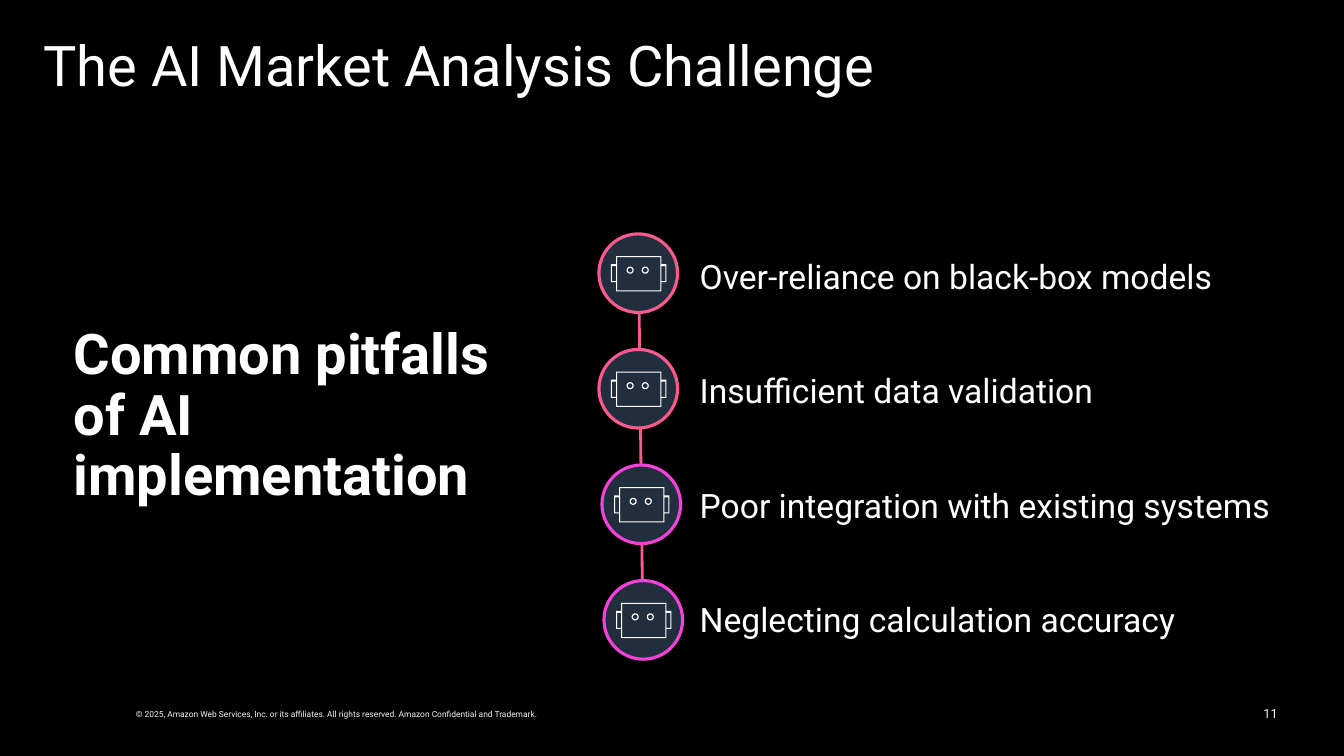
from math import cos, pi, sin

from lxml import etree
from pptx import Presentation
from pptx.dml.color import RGBColor
from pptx.enum.shapes import MSO_CONNECTOR, MSO_SHAPE
from pptx.enum.text import MSO_ANCHOR, MSO_AUTO_SIZE, PP_ALIGN
from pptx.oxml.ns import qn
from pptx.util import Inches, Pt

BLACK = RGBColor(0x00, 0x00, 0x00)
WHITE = RGBColor(0xFF, 0xFF, 0xFF)
PALE = RGBColor(0xF3, 0xF3, 0xF7)
NAVY = RGBColor(0x21, 0x2E, 0x3E)
PINK = RGBColor(0xFE, 0x5A, 0x90)
MAGENTA = RGBColor(0xF7, 0x41, 0xD9)
LEFT, RIGHT = PP_ALIGN.LEFT, PP_ALIGN.RIGHT
TOP, MIDDLE = MSO_ANCHOR.TOP, MSO_ANCHOR.MIDDLE
NO_FIT = MSO_AUTO_SIZE.NONE
FONT = "Roboto"


def fill_text(box, place, lines, size, color, bold=False, align=LEFT, anchor=TOP,
              margins=(0.1, 0.05, 0.1, 0.05), wrap=True, spacing=None, gap=0):
    box.left, box.top, box.width, box.height = map(Inches, place)
    frame = box.text_frame
    left, top, right, bottom = map(Inches, margins)
    frame_format = {"auto_size": NO_FIT, "word_wrap": wrap, "vertical_anchor": anchor,
                    "margin_left": left, "margin_top": top,
                    "margin_right": right, "margin_bottom": bottom}
    for name, value in frame_format.items():
        setattr(frame, name, value)
    font_format = {"name": FONT, "size": Pt(size), "bold": bold}
    for index, line in enumerate(lines):
        para = frame.add_paragraph() if index else frame.paragraphs[0]
        para.alignment = align
        para.line_spacing = spacing
        para.space_before = Pt(gap if index else 0)
        span = para.add_run()
        span.text = line
        span.font.color.rgb = color
        for name, value in font_format.items():
            setattr(span.font, name, value)


def rectangle(left, top, right, bottom):
    return [(left, top), (right, top), (right, bottom), (left, bottom)]


deck = Presentation()
deck.slide_width, deck.slide_height = Inches(13.33), Inches(7.5)
page = deck.slides.add_slide(deck.slide_layouts[5])
page.background.fill.solid()
page.background.fill.fore_color.rgb = BLACK
shapes = page.shapes

# Title
fill_text(shapes.title, (0.33, 0.33, 12, 0.65), ["The AI Market Analysis Challenge"],
          40, WHITE, spacing=0.9)

# Footer, page number, heading and list of pitfalls
pitfalls = [
    ("Over-reliance on black-box models", 5.94, PINK),
    ("Insufficient data validation", 5.94, PINK),
    ("Poor integration with existing systems", 5.97, MAGENTA),
    ("Neglecting calculation accuracy", 5.99, MAGENTA),
]
texts = [
    dict(place=(1.25, 6.99, 4.31, 0.2), size=6, color=PALE, wrap=False,
         lines=["© 2025, Amazon Web Services, Inc. or its affiliates. "
                "All rights reserved. Amazon Confidential and Trademark."]),
    dict(place=(9.77, 6.88, 3, 0.4), size=9, color=PALE, lines=["11"],
         align=RIGHT, anchor=MIDDLE),
    dict(place=(0.73, 3.17, 4.76, 1.35), size=40, color=WHITE, bold=True,
         lines=["Common pitfalls of AI implementation"],
         margins=(0, 0.07, 0, 0.07), spacing=0.9),
    dict(place=(6.94, 3.17, 6.03, 2.54), size=24, color=WHITE,
         lines=[label for label, _, _ in pitfalls], anchor=MIDDLE,
         margins=(0, 0.05, 0.1, 0.05), gap=53),
]
for text in texts:
    fill_text(shapes.add_textbox(0, 0, 0, 0), **text)

# Line joining the circles
joint = shapes.add_connector(MSO_CONNECTOR.STRAIGHT, Inches(6.33), Inches(2.32),
                             Inches(6.38), Inches(6.55))
joint.line.color.rgb = PINK
joint.line.width = Pt(2)
etree.SubElement(joint._element.spPr, qn("a:effectLst"))

# Robot outline: silhouette, then cut-outs for head and ears, then ring eyes
robot = [
    [(0.05, 0), (0.5, 0), (0.5, 0.08), (0.55, 0.08), (0.55, 0.26), (0.5, 0.26),
     (0.5, 0.35), (0.05, 0.35), (0.05, 0.26), (0, 0.26), (0, 0.08), (0.05, 0.08)],
    rectangle(0.06, 0.01, 0.49, 0.34),
    rectangle(0.01, 0.1, 0.05, 0.25),
    rectangle(0.5, 0.1, 0.54, 0.25),
]
for eye in (0.19, 0.34):
    for radius in (0.035, 0.023):
        robot.append([(eye + radius * cos(step * pi / 12), 0.14 + radius * sin(step * pi / 12))
                      for step in range(24)])
robot = [[(Inches(x), Inches(y)) for x, y in contour] for contour in robot]

# Circles with robots
DIAMETER, FIRST_TOP, LAST_TOP = 0.78, 2.32, 5.76
pitch = (LAST_TOP - FIRST_TOP) / (len(pitfalls) - 1)
for index, (_, left, ring_color) in enumerate(pitfalls):
    top = FIRST_TOP + index * pitch
    circle = shapes.add_shape(MSO_SHAPE.OVAL, Inches(left), Inches(top),
                              Inches(DIAMETER), Inches(DIAMETER))
    circle.line.color.rgb = ring_color
    circle.line.width = Pt(2.25)

    builder = shapes.build_freeform(*robot[0][0])
    builder.add_line_segments(robot[0][1:])
    for contour in robot[1:]:
        builder.move_to(*contour[0])
        builder.add_line_segments(contour[1:])
    icon = builder.convert_to_shape(Inches(left + 0.12), Inches(top + 0.22))
    icon.line.fill.background()

    for shape, color in ((circle, NAVY), (icon, WHITE)):
        shape.shadow.inherit = False
        shape.fill.solid()
        shape.fill.fore_color.rgb = color

deck.save("out.pptx")
